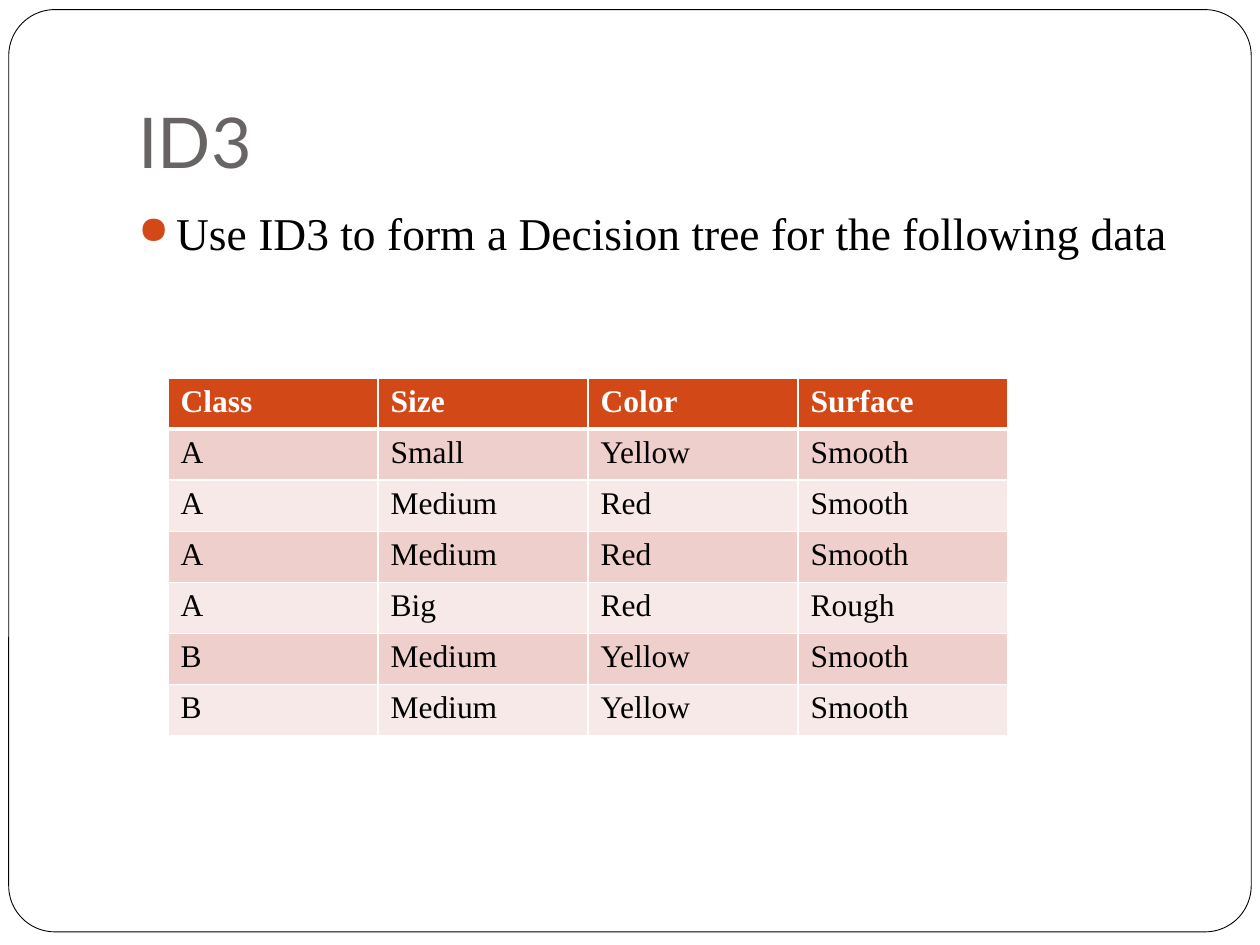
from lxml.etree import SubElement
from pptx import Presentation
from pptx.dml.color import RGBColor
from pptx.enum.shapes import MSO_SHAPE
from pptx.enum.text import MSO_ANCHOR
from pptx.oxml.ns import qn
from pptx.util import Pt

COLORS = {
    "white": "FFFFFF",
    "black": "000000",
    "title": "696464",
    "accent": "D34817",
    "band_dark": "EFCFCC",
    "band_light": "F7E9E8",
}
SERIF = "Times New Roman"
HEADER = ["Class", "Size", "Color", "Surface"]
SAMPLES = [
    ["A", "Small", "Yellow", "Smooth"],
    ["A", "Medium", "Red", "Smooth"],
    ["A", "Medium", "Red", "Smooth"],
    ["A", "Big", "Red", "Rough"],
    ["B", "Medium", "Yellow", "Smooth"],
    ["B", "Medium", "Yellow", "Smooth"],
]


def rgb(name):
    return RGBColor.from_string(COLORS[name])


def write_text(frame, text, size, font=SERIF, color="black", bold=False):
    para = frame.paragraphs[0]
    span = para.add_run()
    span.text = text
    span.font.size = Pt(size)
    span.font.name = font
    span.font.bold = bold
    span.font.color.rgb = rgb(color)
    return para


def add_bullet(para, indent, color, percent):
    props = para._p.get_or_add_pPr()
    props.set("marL", str(Pt(indent)))
    props.set("indent", str(-Pt(indent)))
    SubElement(SubElement(props, qn("a:buClr")), qn("a:srgbClr"), val=COLORS[color])
    SubElement(props, qn("a:buSzPct"), val=str(percent * 1000))
    SubElement(props, qn("a:buChar"), char="●")


def set_borders(cell, color, bottom):
    props = cell._tc.get_or_add_tcPr()
    for side, width in zip("LRTB", (1, 1, 1, bottom)):
        line = SubElement(props, qn(f"a:ln{side}"), w=str(Pt(width)))
        fill = SubElement(line, qn("a:solidFill"))
        SubElement(fill, qn("a:srgbClr"), val=COLORS[color])


def add_frame(page, left, top, width, height):
    frame = page.shapes.add_shape(
        MSO_SHAPE.ROUNDED_RECTANGLE, Pt(left), Pt(top), Pt(width), Pt(height))
    frame.adjustments[0] = 0.05
    frame.shadow.inherit = False
    frame.fill.solid()
    frame.fill.fore_color.rgb = rgb("white")
    frame.line.color.rgb = rgb("black")
    frame.line.width = Pt(0.5)


def add_title(page, left, top, width, height):
    box = page.shapes.add_textbox(Pt(left), Pt(top), Pt(width), Pt(height))
    frame = box.text_frame
    frame.word_wrap = True
    frame.vertical_anchor = MSO_ANCHOR.BOTTOM
    frame.margin_bottom = Pt(7.2)
    write_text(frame, "ID3", size=40, font="Lato", color="title")


def add_body(page, left, top, width, height):
    box = page.shapes.add_textbox(Pt(left), Pt(top), Pt(width), Pt(height))
    box.text_frame.word_wrap = True
    para = write_text(
        box.text_frame, "Use ID3 to form a Decision tree for the following data", size=26)
    para.space_before = Pt(5.8)
    add_bullet(para, indent=21.6, color="accent", percent=85)


def add_samples(page, left, top, width, height):
    rows = [HEADER] + SAMPLES
    table = page.shapes.add_table(
        len(rows), len(HEADER), Pt(left), Pt(top), Pt(width), Pt(height)).table
    for row_index, values in enumerate(rows):
        header = row_index == 0
        band = "band_dark" if row_index % 2 else "band_light"
        for column_index, value in enumerate(values):
            cell = table.cell(row_index, column_index)
            set_borders(cell, "white", bottom=3 if header else 1)
            cell.fill.solid()
            cell.fill.fore_color.rgb = rgb("accent" if header else band)
            write_text(cell.text_frame, value, size=18, bold=header,
                       color="white" if header else "black")


def main():
    deck = Presentation()
    deck.slide_width, deck.slide_height = Pt(720), Pt(540)
    page = deck.slides.add_slide(deck.slide_layouts[6])
    add_frame(page, 5, 5.5, 710, 527)
    add_title(page, 72, 21.6, 612, 90)
    add_body(page, 72, 113.76, 612, 360)
    add_samples(page, 96, 216, 480, 204.4)
    deck.save("out.pptx")


if __name__ == "__main__":
    main()
